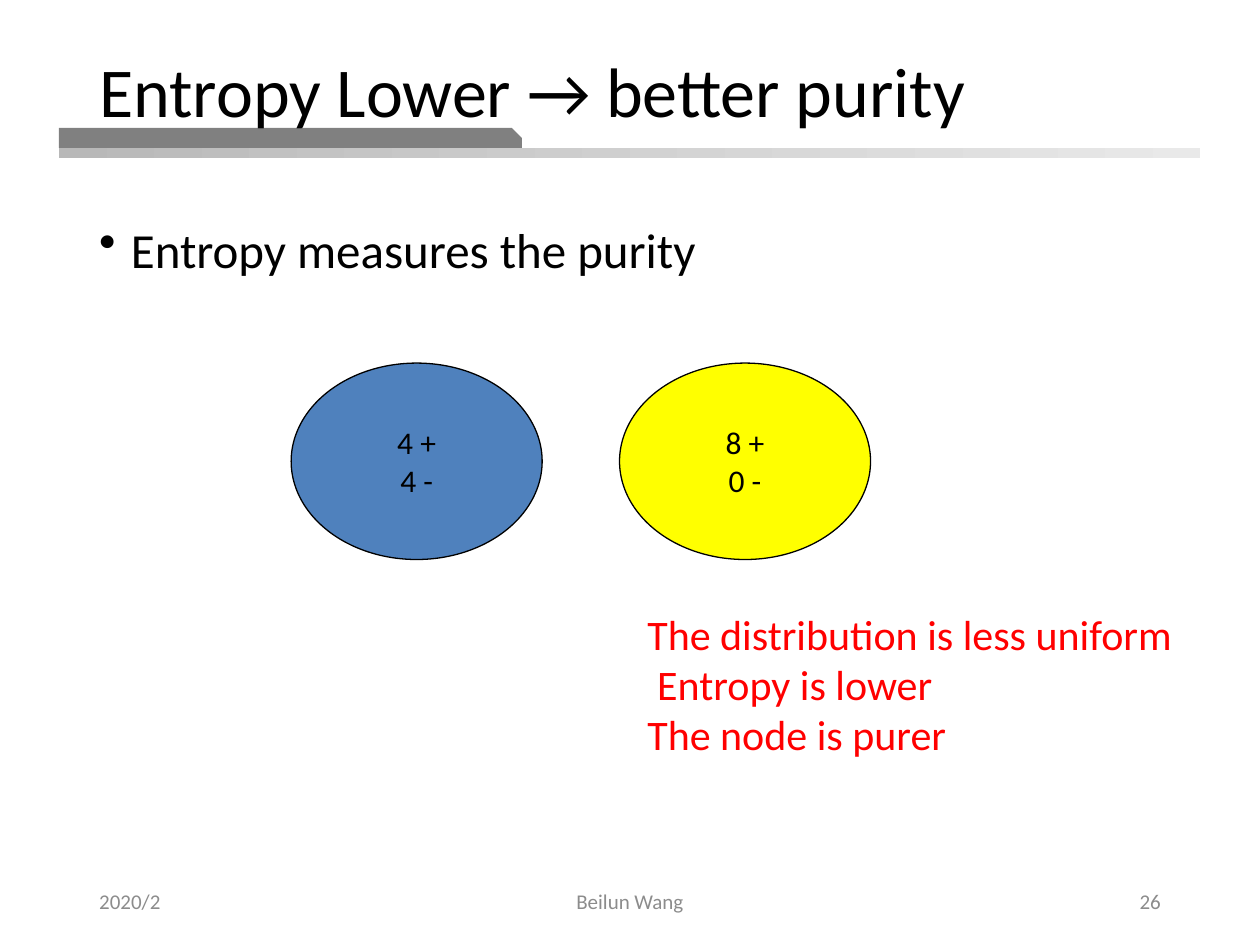
"""Build the slide on entropy and node purity."""
import pptx
import pptx.dml.color
import pptx.enum.shapes
import pptx.enum.text
import pptx.oxml.ns
import pptx.util
from lxml import etree
from pptx.util import Cm, Pt

RGBColor = pptx.dml.color.RGBColor
MSO_SHAPE = pptx.enum.shapes.MSO_SHAPE
MSO_ANCHOR = pptx.enum.text.MSO_ANCHOR
PP_ALIGN = pptx.enum.text.PP_ALIGN

BLACK = RGBColor(0x00, 0x00, 0x00)
RED = RGBColor(0xFF, 0x00, 0x00)
BLUE = RGBColor(0x4F, 0x81, 0xBD)
YELLOW = RGBColor(0xFF, 0xFF, 0x00)
BAR_GRAY = RGBColor(0x80, 0x80, 0x80)
FOOTER_GRAY = RGBColor(0x8C, 0x8C, 0x8C)
RULE_DARK = RGBColor(0xB8, 0xB8, 0xB8)
RULE_LIGHT = RGBColor(0xE9, 0xE9, 0xE9)


class SlideBuilder:
    """Hold the font and the current slide, and add its elements."""

    font_name = "Calibri"

    def __init__(self, slide):
        self.slide = slide

    def set_lines(self, text_frame, lines, size, color, align=PP_ALIGN.LEFT):
        text_frame.text = "\n".join(lines)
        for paragraph in text_frame.paragraphs:
            paragraph.alignment = align
            paragraph.font.name = self.font_name
            paragraph.font.size = Pt(size)
            paragraph.font.color.rgb = color

    def title(self, text, left, top, width, height):
        title = self.slide.shapes.title
        title.left, title.top = Cm(left), Cm(top)
        title.width, title.height = Cm(width), Cm(height)
        self.slide.shapes[-1].element.addnext(title.element)
        frame = title.text_frame
        frame.auto_size = pptx.enum.text.MSO_AUTO_SIZE.NONE
        frame.vertical_anchor = MSO_ANCHOR.TOP
        self.set_lines(frame, [text], 40, BLACK)
        frame.paragraphs[0].line_spacing = 0.9

    def shape(self, kind, left, top, width, height):
        shape = self.slide.shapes.add_shape(
            kind, Cm(left), Cm(top), Cm(width), Cm(height))
        shape.shadow.inherit = False
        shape.line.fill.background()
        return shape

    def rule(self, left, top, width, height):
        fill = self.shape(MSO_SHAPE.RECTANGLE, left, top, width, height).fill
        fill.gradient()
        fill.gradient_angle = 0
        for stop, color in zip(fill.gradient_stops, (RULE_DARK, RULE_LIGHT)):
            stop.color.rgb = color

    def tab(self, left, top, width, height):
        shape = self.shape(MSO_SHAPE.SNIP_1_RECTANGLE, left, top, width, height)
        shape.adjustments[0] = 0.5
        shape.fill.solid()
        shape.fill.fore_color.rgb = BAR_GRAY

    def node(self, lines, color, left, top, width, height):
        shape = self.shape(MSO_SHAPE.OVAL, left, top, width, height)
        shape.fill.solid()
        shape.fill.fore_color.rgb = color
        shape.line.color.rgb = BLACK
        shape.line.width = Pt(0.75)
        shape.text_frame.vertical_anchor = MSO_ANCHOR.MIDDLE
        self.set_lines(shape.text_frame, lines, 18, BLACK, PP_ALIGN.CENTER)

    def text(self, lines, size, color, left, top, width, height,
             align=PP_ALIGN.LEFT, anchor=MSO_ANCHOR.TOP):
        frame = self.slide.shapes.add_textbox(
            Cm(left), Cm(top), Cm(width), Cm(height)).text_frame
        frame.word_wrap = True
        frame.vertical_anchor = anchor
        self.set_lines(frame, lines, size, color, align)
        return frame

    def indent(self, paragraph, margin, first_line=0):
        properties = paragraph._p.get_or_add_pPr()
        properties.set("marL", str(Cm(margin)))
        properties.set("indent", str(Cm(first_line)))
        return properties

    def bullet(self, text, left, top, width, height):
        frame = self.text([text], 28, BLACK, left, top, width, height)
        paragraph = frame.paragraphs[0]
        properties = self.indent(paragraph, 0.64, -0.64)
        bullet = etree.Element(pptx.oxml.ns.qn("a:buChar"), char="•")
        properties.insert(0, bullet)
        paragraph.line_spacing = 0.8

    def note(self, lines, left, top, width, height):
        frame = self.text(lines, 24, RED, left, top, width, height)
        frame.margin_left = frame.margin_right = 0
        frame.margin_top = frame.margin_bottom = 0
        self.indent(frame.paragraphs[1], 0.2)


def main():
    presentation = pptx.Presentation()
    presentation.slide_width, presentation.slide_height = Cm(25.4), Cm(19.05)
    slide = presentation.slides.add_slide(presentation.slide_layouts[5])
    builder = SlideBuilder(slide)

    builder.rule(1.19, 2.98, 23.01, 0.2)
    builder.tab(1.19, 2.58, 9.33, 0.4)
    builder.title("Entropy Lower → better purity", 1.75, 1.02, 21.3, 1.63)
    builder.bullet("Entropy measures the purity", 1.75, 4.52, 21.9, 12.67)

    footers = (
        ("2020/2", 1.75, 5.72, PP_ALIGN.LEFT),
        ("Beilun Wang", 8.41, 8.58, PP_ALIGN.CENTER),
        ("26", 17.93, 5.72, PP_ALIGN.RIGHT),
    )
    for text, left, width, align in footers:
        builder.text([text], 12, FOOTER_GRAY, left, 17.65, width, 1.02,
                     align, MSO_ANCHOR.MIDDLE)

    builder.note(["The distribution is less uniform", "Entropy is lower",
                  "The node is purer"], 13.05, 12.26, 10.9, 3.12)
    nodes = ((["4 +", "4 -"], BLUE), (["8 +", "0 -"], YELLOW))
    for index, (lines, color) in enumerate(nodes):
        builder.node(lines, color, 5.87 + 6.62 * index, 7.32, 5.06, 3.96)

    presentation.save("out.pptx")


if __name__ == "__main__":
    main()
